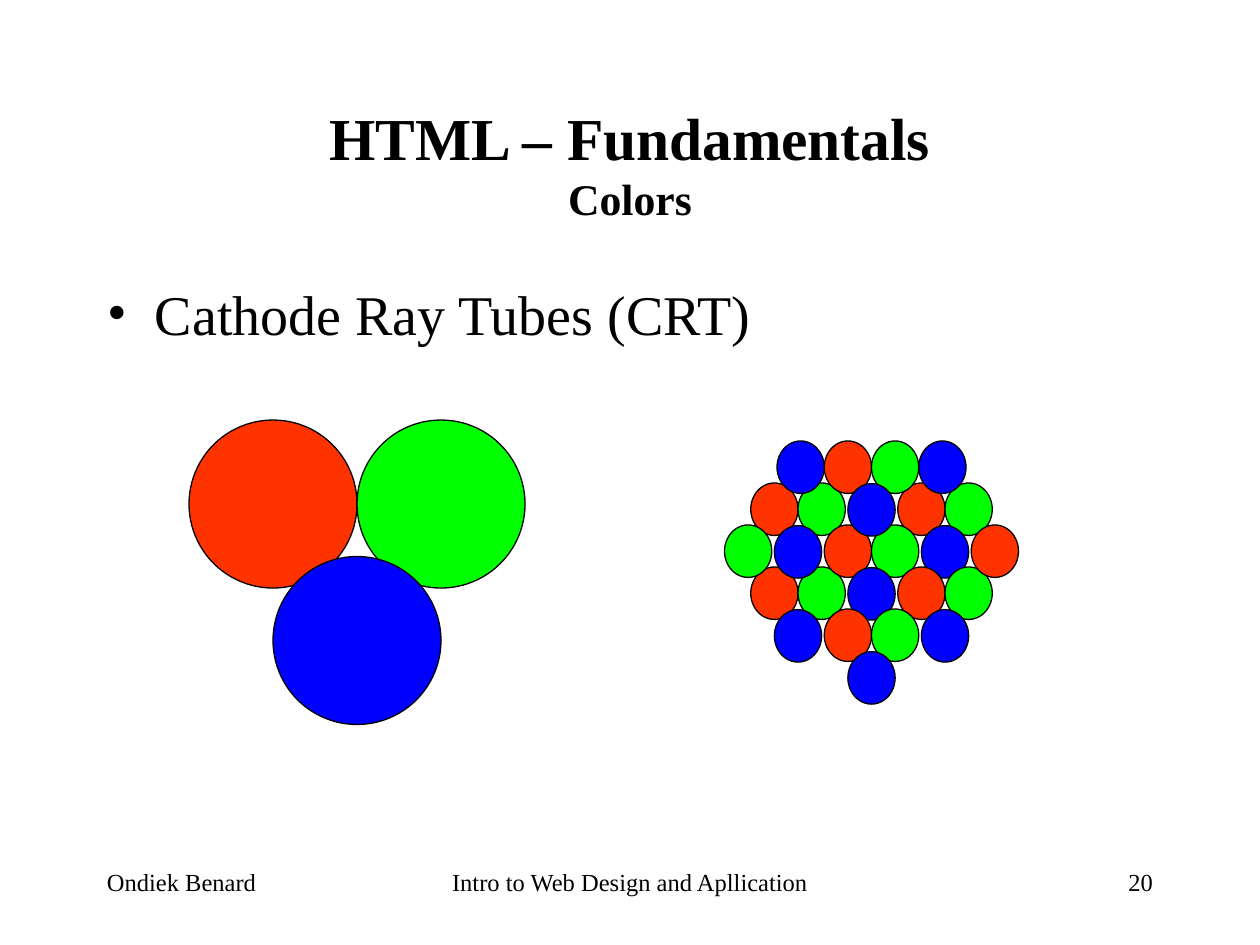
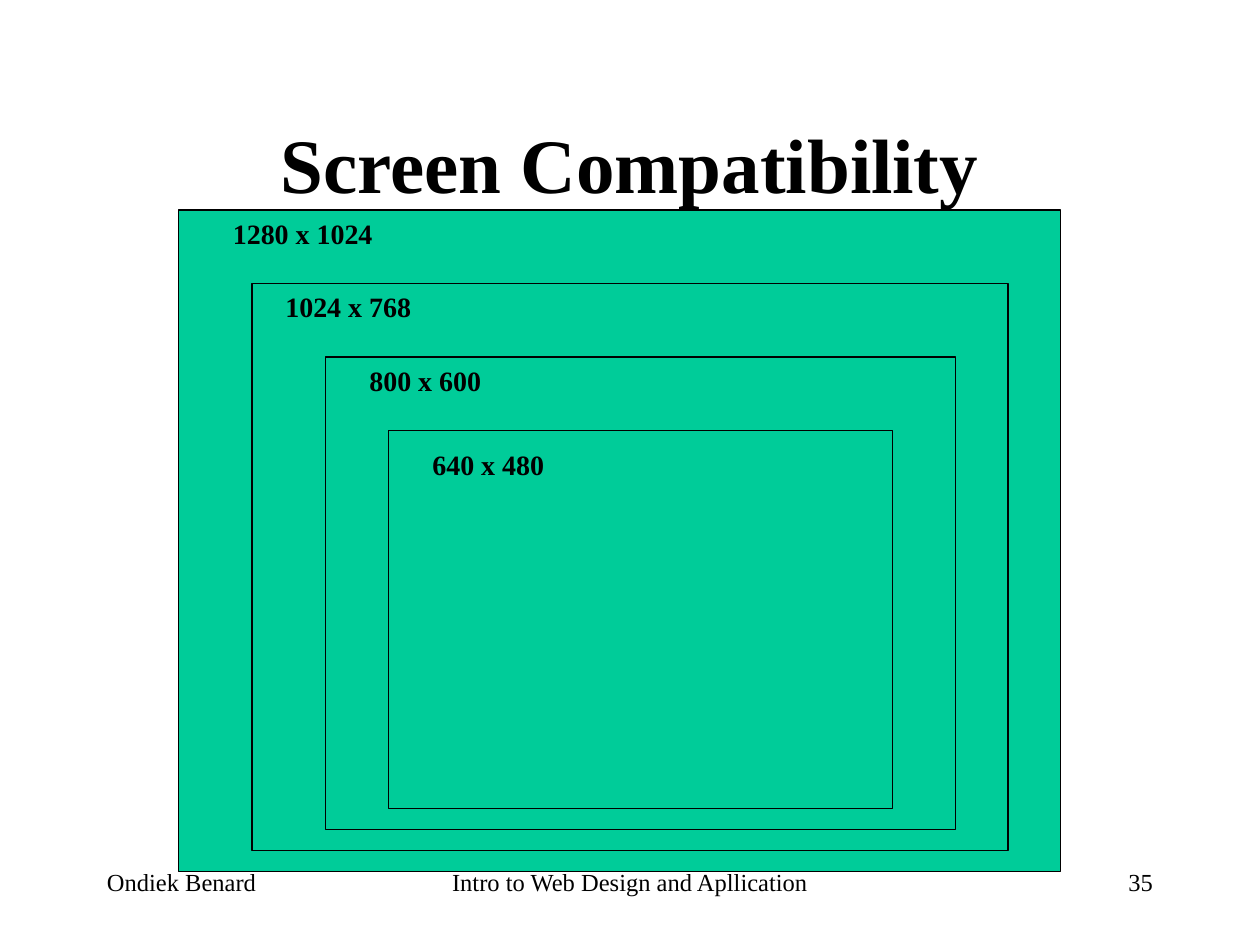
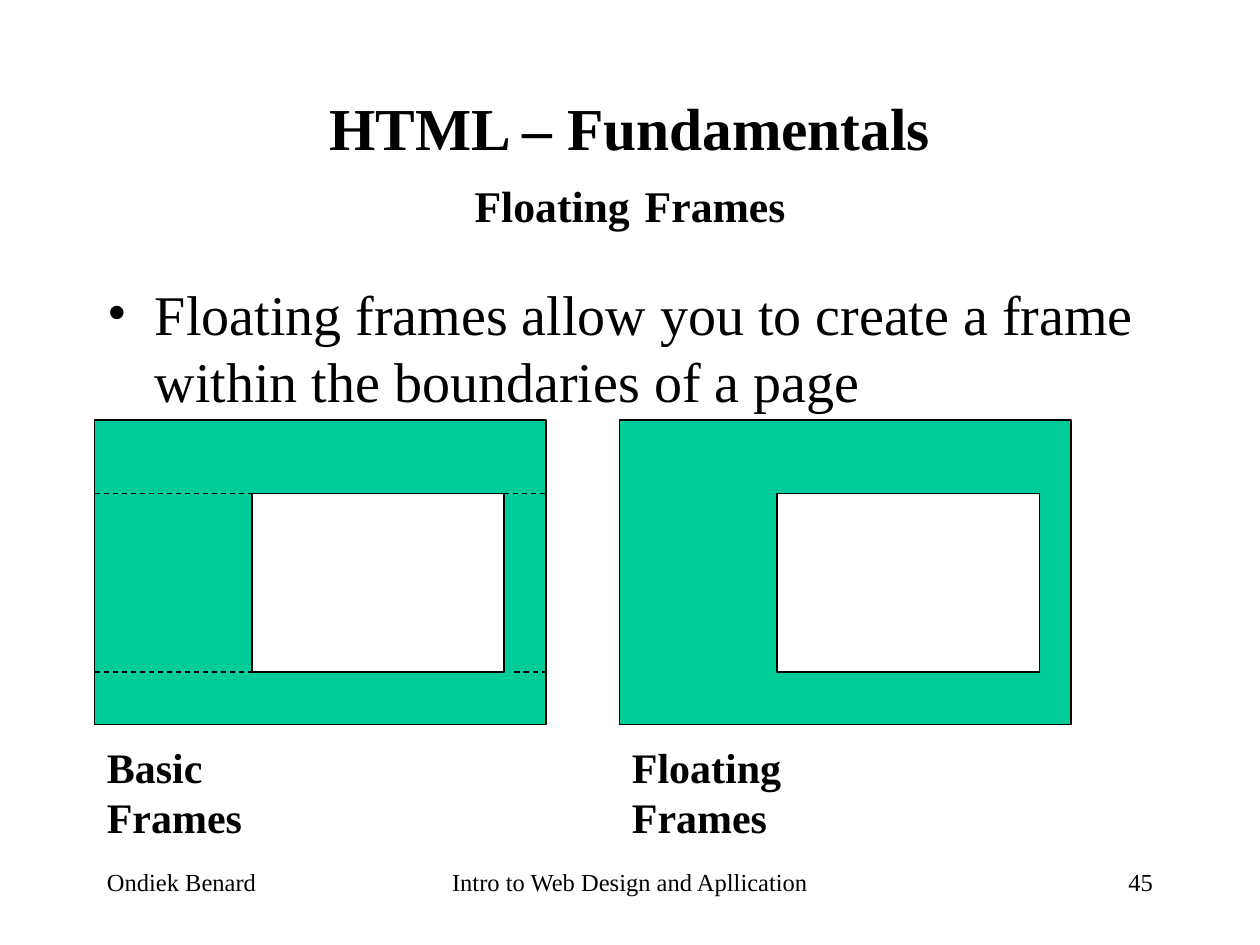
import pptx
import pptx.dml.color
import pptx.enum.dml
import pptx.enum.shapes
import pptx.enum.text
import pptx.oxml
import pptx.oxml.ns
import pptx.util
import lxml.etree

RGBColor = pptx.dml.color.RGBColor
BLACK = RGBColor(0x00, 0x00, 0x00)
WHITE = RGBColor(0xFF, 0xFF, 0xFF)
RED = RGBColor(0xFF, 0x33, 0x00)
GREEN = RGBColor(0x00, 0xFF, 0x00)
BLUE = RGBColor(0x00, 0x00, 0xFF)
TEAL = RGBColor(0x00, 0xCC, 0x99)

ALIGN = pptx.enum.text.PP_ALIGN
AUTO_SIZE = pptx.enum.text.MSO_AUTO_SIZE
SHAPE = pptx.enum.shapes.MSO_SHAPE
qn = pptx.oxml.ns.qn


class Deck:
    FONT = "Times New Roman"
    LINE = pptx.util.Pt(0.75)
    COLUMNS = 120
    AUTHOR = "Ondiek Benard"
    COURSE = "Intro to Web Design and Apllication"
    TITLE_SIZE, SUBTITLE_SIZE = 34, 25

    def __init__(self):
        self.prs = pptx.Presentation()
        self.prs.slide_width = pptx.util.Inches(10)
        self.prs.slide_height = pptx.util.Inches(7.5)
        self.cell = self.prs.slide_width / self.COLUMNS
        self.slide = None

    def grid(self, *cells):
        return [round(cell * self.cell) for cell in cells]

    def new_slide(self, layout, number):
        self.slide = self.prs.slides.add_slide(self.prs.slide_layouts.get_by_name(layout))
        footers = (
            (41, 38, self.COURSE, ALIGN.CENTER),
            (84 + 2, 25, number, ALIGN.RIGHT),
            (9, 25, self.AUTHOR, ALIGN.LEFT),
        )
        for column, width, words, align in footers:
            self.text(words, (column, 82, width, 6), 14, align=align)

    def run(self, paragraph, words, size, bold=False):
        run = paragraph.add_run()
        run.text = words
        run.font.name = self.FONT
        run.font.size = pptx.util.Pt(size)
        run.font.bold = bold
        run.font.color.rgb = BLACK

    def place(self, holder, *cells):
        holder.left, holder.top, holder.width, holder.height = self.grid(*cells)
        holder.text_frame.auto_size = AUTO_SIZE.NONE
        return holder.text_frame.paragraphs[0]

    def title(self, *lines):
        heading = self.place(self.slide.shapes.title, 9, 8, 102, 15)
        heading.alignment = ALIGN.CENTER
        self.slide.shapes.title.text_frame.vertical_anchor = pptx.enum.text.MSO_ANCHOR.MIDDLE
        for index, line in enumerate(lines):
            if index:
                heading.add_line_break()
                line_break = heading._p.findall(qn("a:br"))[-1]
                lxml.etree.SubElement(line_break, qn("a:rPr"), sz=str(self.TITLE_SIZE * 100))
            for words, size in line:
                self.run(heading, words, size, bold=True)

    def bullet(self, words):
        point = self.place(self.slide.placeholders[1], 9, 26, 102, 54)
        point.space_before = pptx.util.Pt(8)
        indent = pptx.util.Inches(0.38)
        properties = point._p.get_or_add_pPr()
        properties.set("marL", str(indent))
        properties.set("indent", str(-indent))
        lxml.etree.SubElement(properties, qn("a:buFont"), typeface=self.FONT)
        lxml.etree.SubElement(properties, qn("a:buChar"), char="•")
        self.run(point, words, 32)

    def text(self, words, cells, size, bold=False, align=ALIGN.LEFT, before=0, grow=False):
        frame = self.slide.shapes.add_textbox(*self.grid(*cells)).text_frame
        frame.word_wrap = True
        frame.auto_size = AUTO_SIZE.SHAPE_TO_FIT_TEXT if grow else AUTO_SIZE.NONE
        paragraph = frame.paragraphs[0]
        paragraph.alignment = align
        paragraph.space_before = pptx.util.Pt(before)
        self.run(paragraph, words, size, bold)

    def group(self):
        return self.slide.shapes.add_group_shape().shapes

    def shape(self, kind, cells, fill, shapes=None):
        shapes = self.slide.shapes if shapes is None else shapes
        shape = shapes.add_shape(kind, *self.grid(*cells))
        shape.shadow.inherit = False
        shape.fill.solid()
        shape.fill.fore_color.rgb = fill
        shape.line.color.rgb = BLACK
        shape.line.width = self.LINE

    def triad(self, column, row, width, height, shapes):
        dots = ((RED, 0, 0), (GREEN, 1, 0), (BLUE, 1 / 2, 13 / 16))
        for color, across, down in dots:
            cells = (column + across * width, row + down * height, width, height)
            self.shape(SHAPE.OVAL, cells, color, shapes)

    def dashes(self, start, end, row, shapes=None):
        shapes = self.slide.shapes if shapes is None else shapes
        line = shapes.add_connector(
            pptx.enum.shapes.MSO_CONNECTOR.STRAIGHT, *self.grid(start, row, end, row)
        )
        line.line.color.rgb = BLACK
        line.line.width = self.LINE
        line.line.dash_style = pptx.enum.dml.MSO_LINE.DASH
        lxml.etree.SubElement(line._element.spPr, qn("a:effectLst"))


def colors_slide(deck):
    deck.new_slide("Title and Content", "20")
    deck.title([("HTML – Fundamentals", deck.TITLE_SIZE)], [("Colors", deck.SUBTITLE_SIZE)])
    deck.bullet("Cathode Ray Tubes (CRT)")
    deck.triad(18, 40, 16, 16, deck.group())

    screen = deck.group()
    width, height = 4.5, 5
    left, middle, right = 71.5, 78.5, 85.5
    triads = (
        (left, 54), (right, 46), (left, 46), (middle, 50),
        (right, 54), (middle, 58), (middle, 42),
    )
    for column, row in triads:
        deck.triad(column, row, width, height, screen)
    edge_dots = (
        (RED, 92.5, 50, screen), (GREEN, 69, 50, screen),
        (BLUE, 87.5, 42, screen), (BLUE, 74, 42, None),
    )
    for color, column, row, shapes in edge_dots:
        deck.shape(SHAPE.OVAL, (column, row, width, height), color, shapes)


def screens_slide(deck):
    deck.new_slide("Title Only", "35")
    deck.title([("Screen Compatibility", 44)])
    screens = (
        ("1280 x 1024", 17, 20, 84, 21, 20),
        ("1024 x 768", 24, 27, 72, 26, 27),
        ("800 x 600", 31, 34, 60, 34, 34),
        ("640 x 480", 37, 41, 48, 40, 42),
    )
    for _, column, row, width, _, _ in screens:
        deck.shape(SHAPE.RECTANGLE, (column, row, width, width * 3 / 4), TEAL)
    for resolution, _, _, _, column, row in screens:
        deck.text(resolution, (column, row, 19, 4.4), 16, bold=True, before=10, grow=True)


def frames_slide(deck):
    deck.new_slide("Title and Content", "45")
    deck.title(
        [("HTML – Fundamentals", deck.TITLE_SIZE)],
        [("Floating", deck.SUBTITLE_SIZE), (" ", deck.TITLE_SIZE), ("Frames", deck.SUBTITLE_SIZE)],
    )
    deck.bullet("Floating frames allow you to create a frame within the boundaries of a page")
    pages = (("Basic Frames", 9, 24, 25, True), ("Floating Frames", 59, 25, 27, False))
    for caption, column, inner_width, caption_width, divided in pages:
        page = deck.group()
        deck.shape(SHAPE.RECTANGLE, (column, 40, 43, 29), TEAL, page)
        deck.shape(SHAPE.RECTANGLE, (column + 15, 47, inner_width, 17), WHITE, page)
        if divided:
            for row, right_start in ((47, 48), (64, 49)):
                deck.dashes(column, column + 15, row, page)
                deck.dashes(right_start, column + 43, row)
        deck.text(caption, (column, 70, caption_width, 10.8), 24, bold=True, before=15, grow=True)


def main():
    deck = Deck()
    colors_slide(deck)
    screens_slide(deck)
    frames_slide(deck)
    deck.prs.save("out.pptx")


if __name__ == "__main__":
    main()
